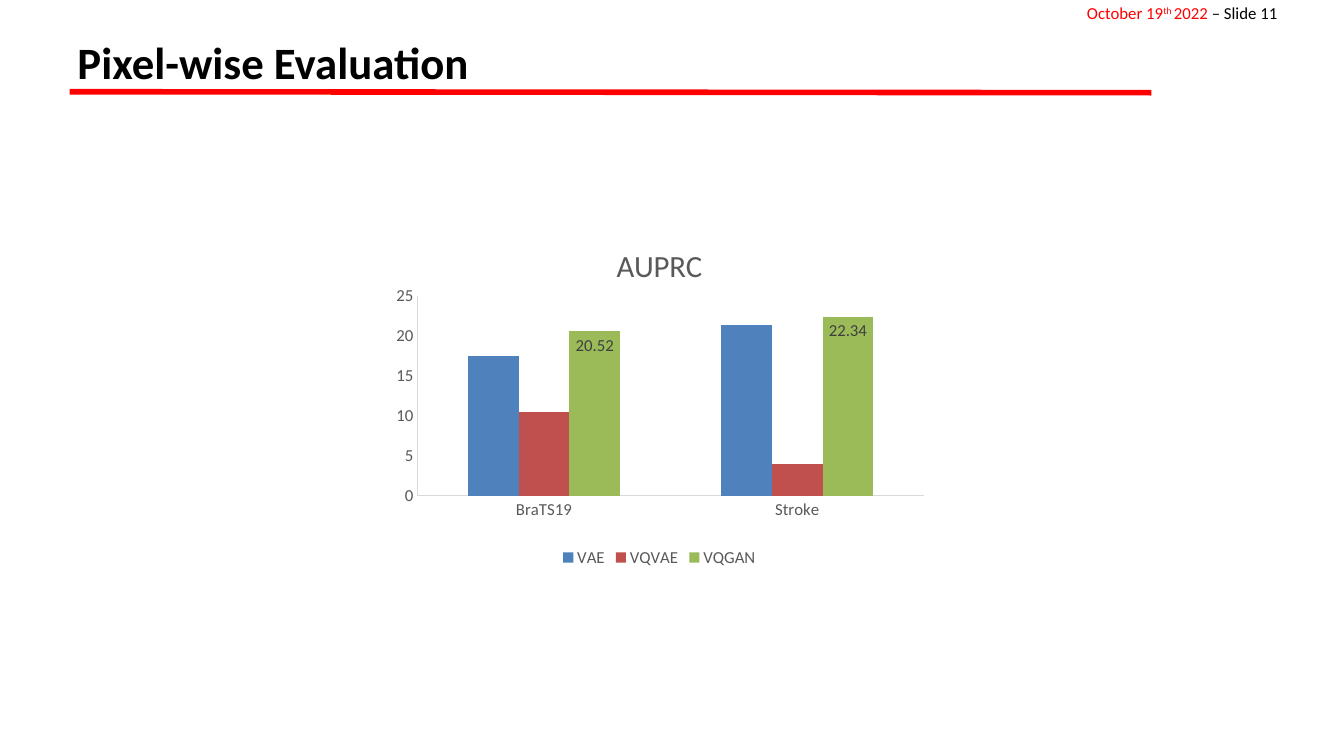
from dataclasses import dataclass

from lxml import etree
from pptx import Presentation
from pptx.chart.data import CategoryChartData
from pptx.dml.color import RGBColor
from pptx.enum.chart import XL_CHART_TYPE, XL_LABEL_POSITION, XL_LEGEND_POSITION, XL_TICK_MARK
from pptx.enum.shapes import MSO_CONNECTOR
from pptx.enum.text import MSO_ANCHOR, PP_ALIGN
from pptx.oxml import parse_xml
from pptx.oxml.ns import nsdecls, qn
from pptx.util import Inches, Pt


@dataclass(frozen=True)
class Theme:
    font: str = "Calibri"
    black: str = "000000"
    red: str = "FF0000"
    chart_text: str = "595959"
    label_text: str = "404040"
    axis_line: str = "D9D9D9"
    series: tuple = ("4F81BD", "C0504D", "9BBB59")
    heading_size: float = 32
    chart_title_size: float = 22
    small_size: float = 12


theme = Theme()


def style_font(font, size, color, bold=False):
    font.name = theme.font
    font.size = Pt(size)
    font.bold = bold
    font.color.rgb = RGBColor.from_string(color)


def add_text(paragraph, text, size=theme.small_size, color=theme.black, bold=False, baseline=0):
    """Append a formatted run; baseline is a rise in percent."""
    run = paragraph.add_run()
    run.text = text
    style_font(run.font, size, color, bold)
    if baseline:
        run._r.get_or_add_rPr().set("baseline", str(baseline * 1000))


presentation = Presentation()
presentation.slide_width = Inches(13.33)
presentation.slide_height = Inches(7.5)
slide = presentation.slides.add_slide(presentation.slide_layouts[6])

# Header rule
rule = slide.shapes.add_connector(
    MSO_CONNECTOR.STRAIGHT, Inches(0.69), Inches(0.91), Inches(11.42), Inches(0.92)
)
rule.line.color.rgb = RGBColor.from_string(theme.red)
rule.line.width = Pt(4)
etree.SubElement(rule._element.spPr, qn("a:effectLst"))

# Date and slide number
date_box = slide.shapes.add_textbox(Inches(0.67), 0, Inches(12), Inches(0.25))
date_frame = date_box.text_frame
date_frame.word_wrap = True
date_frame.vertical_anchor = MSO_ANCHOR.MIDDLE
date_frame.margin_left = date_frame.margin_right = 0
date_frame.margin_top = date_frame.margin_bottom = 0
date_line = date_frame.paragraphs[0]
date_line.alignment = PP_ALIGN.RIGHT
add_text(date_line, "October 19", color=theme.red)
add_text(date_line, "th ", color=theme.red, baseline=30)
add_text(date_line, "2022", color=theme.red)
add_text(date_line, " – Slide 11")

# Heading
heading_box = slide.shapes.add_textbox(Inches(0.67), Inches(0.3), Inches(12), Inches(0.62))
heading_frame = heading_box.text_frame
heading_frame.word_wrap = True
heading_frame.vertical_anchor = MSO_ANCHOR.MIDDLE
add_text(heading_frame.paragraphs[0], "Pixel-wise Evaluation", size=theme.heading_size, bold=True)

# Chart
chart_data = CategoryChartData()
chart_data.categories = ["BraTS19", "Stroke"]
chart_data.add_series("VAE", (17.5, 21.3))
chart_data.add_series("VQVAE", (10.4, 3.9))
chart_data.add_series("VQGAN", (20.52, 22.34))
chart = slide.shapes.add_chart(
    XL_CHART_TYPE.COLUMN_CLUSTERED,
    Inches(3.75), Inches(2.25), Inches(5.58), Inches(3.42), chart_data,
).chart
style_font(chart.font, theme.small_size, theme.chart_text)

chart.has_title = True
add_text(
    chart.chart_title.text_frame.paragraphs[0], "AUPRC",
    size=theme.chart_title_size, color=theme.chart_text,
)
chart.chart_title.include_in_layout = False

chart.has_legend = True
chart.legend.position = XL_LEGEND_POSITION.BOTTOM
chart.legend.include_in_layout = False
style_font(chart.legend.font, theme.small_size, theme.chart_text)

for axis in (chart.category_axis, chart.value_axis):
    axis.has_major_gridlines = False
    axis.major_tick_mark = axis.minor_tick_mark = XL_TICK_MARK.NONE
    axis.format.line.color.rgb = RGBColor.from_string(theme.axis_line)
    axis.format.line.width = Pt(0.75)
    style_font(axis.tick_labels.font, theme.small_size, theme.chart_text)
chart.value_axis.minimum_scale = 0
chart.value_axis.maximum_scale = 25
chart.value_axis.major_unit = 5

plot = chart.plots[0]
plot.gap_width = 199
plot.overlap = 0
plot.vary_by_categories = False
for series, color in zip(plot.series, theme.series):
    series.format.fill.solid()
    series.format.fill.fore_color.rgb = RGBColor.from_string(color)

labels = plot.series[2].data_labels
labels.show_value = True
labels.position = XL_LABEL_POSITION.INSIDE_END
style_font(labels.font, theme.small_size, theme.label_text)

# Fixed inner plot area, as fractions of the chart
plot_area = chart._chartSpace.chart.plotArea
for layout in plot_area.findall(qn("c:layout")):
    plot_area.remove(layout)
fractions = {"x": 0.07, "y": 0.2, "w": 0.9, "h": 0.58}
placement = "".join(f'<c:{name} val="{value}"/>' for name, value in fractions.items())
plot_area.insert(0, parse_xml(
    f'<c:layout {nsdecls("c")}><c:manualLayout><c:layoutTarget val="inner"/>'
    f'<c:xMode val="edge"/><c:yMode val="edge"/>{placement}</c:manualLayout></c:layout>'
))

presentation.save("out.pptx")
